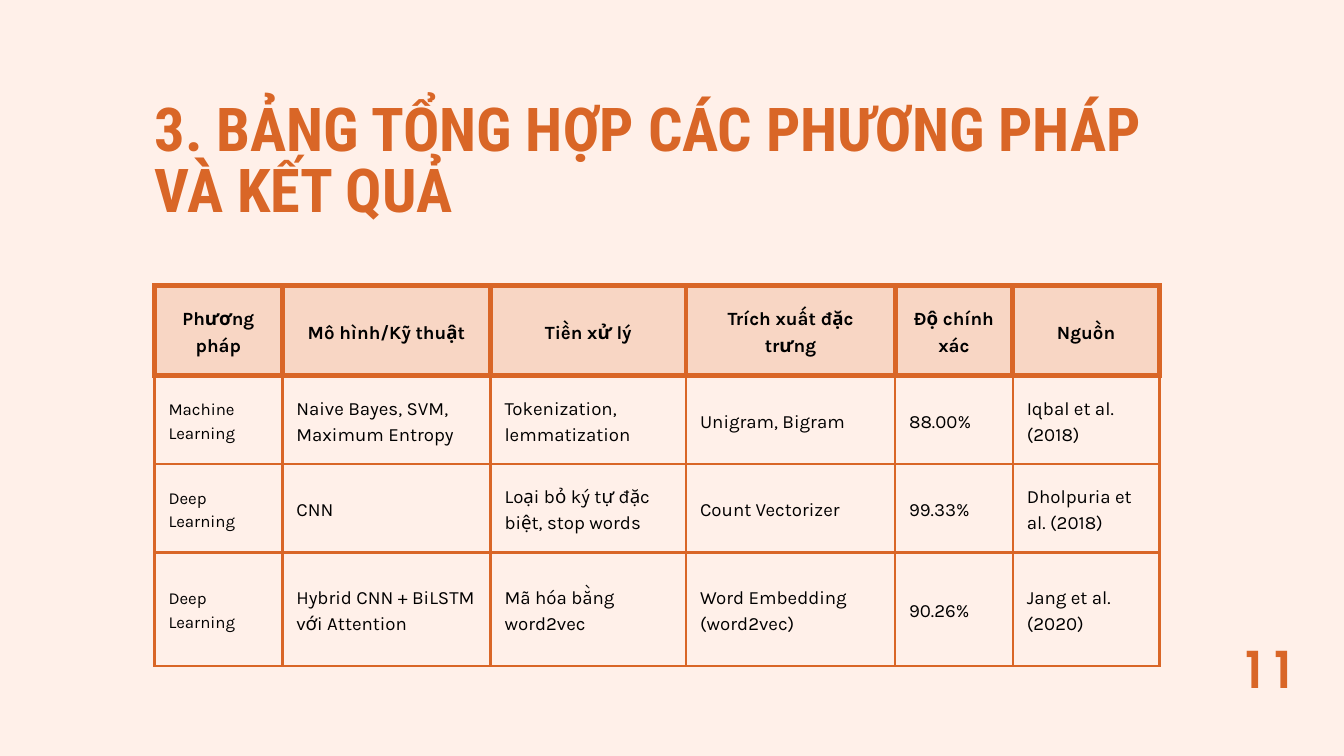
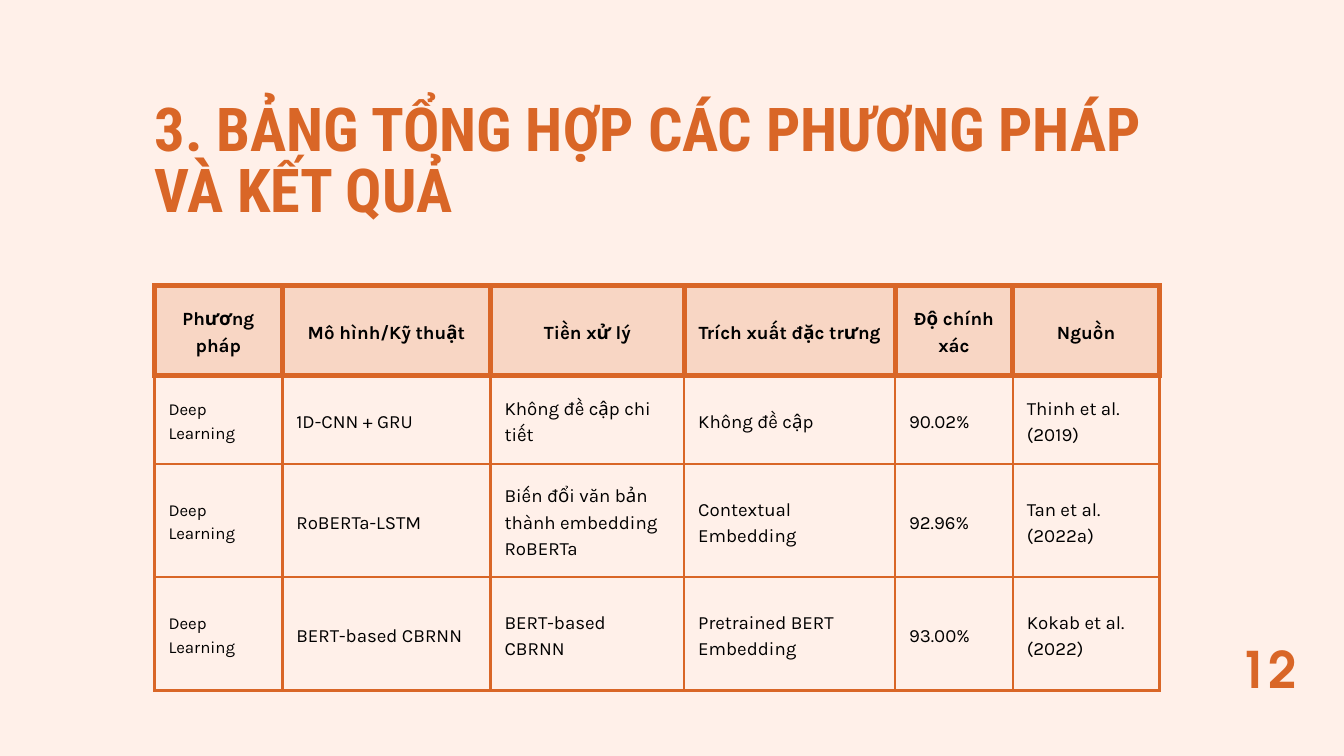
from dataclasses import dataclass

from lxml.etree import SubElement as Sub
from pptx import Presentation
from pptx.dml.color import RGBColor as RGB
from pptx.enum.text import MSO_ANCHOR as Anchor, MSO_AUTO_SIZE as Fit, PP_ALIGN as Align
from pptx.oxml.ns import qn
from pptx.util import Cm, Pt


# Colours, fonts and sizes shared by the slides
@dataclass(frozen=True)
class Theme:
    paper: str = "FFF0E9"
    accent: str = "D96627"
    head: str = "F8D6C4"
    ink: str = "000000"
    title_font: str = "Roboto Condensed"
    page_font: str = "TeX Gyre Adventor"
    cell_font: str = "Karla"
    title_size: float = 64.8
    page_size: float = 54
    cell_size: float = 20
    label_size: float = 18
    thick: float = 6
    thin: float = 3
    pad: float = 0.53
    left: float = 5.84
    width: float = 37.97


T = Theme()

TITLE = "3. BẢNG TỔNG HỢP CÁC PHƯƠNG PHÁP VÀ KẾT QUẢ"
HEADS = ["Phương pháp", "Mô hình/Kỹ thuật", "Tiền xử lý",
         "Trích xuất đặc trưng", "Độ chính xác", "Nguồn"]

# Page number, column widths, row heights and body rows of each slide
PAGES = [
    (11, [4.83, 7.87, 7.39, 7.9, 4.45, 5.54], [3.4, 3.35, 3.33, 4.29], [
        ["Machine Learning", "Naive Bayes, SVM, Maximum Entropy",
         "Tokenization, lemmatization", "Unigram, Bigram", "88.00%",
         "Iqbal et al. (2018)"],
        ["Deep Learning", "CNN", "Loại bỏ ký tự đặc biệt, stop words",
         "Count Vectorizer", "99.33%", "Dholpuria et al. (2018)"],
        ["Deep Learning", "Hybrid CNN + BiLSTM với Attention",
         "Mã hóa bằng word2vec", "Word Embedding (word2vec)", "90.26%",
         "Jang et al. (2020)"],
    ]),
    (12, [4.83, 7.87, 7.32, 7.97, 4.45, 5.54], [3.4, 3.35, 4.27, 4.29], [
        ["Deep Learning", "1D-CNN + GRU", "Không đề cập chi tiết",
         "Không đề cập", "90.02%", "Thinh et al. (2019)"],
        ["Deep Learning", "RoBERTa-LSTM",
         "Biến đổi văn bản thành embedding RoBERTa",
         "Contextual Embedding", "92.96%", "Tan et al. (2022a)"],
        ["Deep Learning", "BERT-based CBRNN", "BERT-based CBRNN",
         "Pretrained BERT Embedding", "93.00%", "Kokab et al. (2022)"],
    ]),
]


def set_text(frame, text, font, size, color, lead, align=Align.LEFT, bold=True):
    frame.text = text
    para = frame.paragraphs[0]
    para.alignment = align
    para.line_spacing = Pt(lead)
    for run in para.runs:
        face = run.font
        face.name, face.size, face.bold = font, Pt(size), bold
        face.color.rgb = RGB.from_string(color)


def trim(frame):
    frame.margin_left = frame.margin_top = 0
    frame.margin_right = frame.margin_bottom = 0
    frame.word_wrap = True
    frame.auto_size = Fit.SHAPE_TO_FIT_TEXT
    frame.vertical_anchor = Anchor.TOP


def add_title(slide, text):
    box = slide.shapes.title
    box.left, box.top = Cm(T.left), Cm(3.91)
    box.width, box.height = Cm(T.width), Cm(4.7)
    trim(box.text_frame)
    set_text(box.text_frame, text, T.title_font, T.title_size, T.accent,
             T.title_size)


def add_page(slide, num):
    box = slide.shapes.add_textbox(Cm(46.46), Cm(24.87), Cm(2.95), Cm(1.7))
    trim(box.text_frame)
    set_text(box.text_frame, str(num), T.page_font, T.page_size, T.accent,
             T.page_size * 0.8, Align.CENTER)


def set_edges(cell, top, rest):
    props = cell._tc.get_or_add_tcPr()
    for side in "LRTB":
        width = top if side == "T" else rest
        line = Sub(props, qn(f"a:ln{side}"), w=str(Pt(width)))
        fill = Sub(line, qn("a:solidFill"))
        Sub(fill, qn("a:srgbClr"), val=T.accent)


def set_cell(cell, text, row, col):
    head = row == 0
    cell.margin_left = cell.margin_right = Cm(T.pad)
    cell.margin_top = cell.margin_bottom = Cm(T.pad)
    cell.vertical_anchor = Anchor.MIDDLE
    # Heavy lines frame the head row, thin ones the body
    set_edges(cell, T.thick if row < 2 else T.thin, T.thick if head else T.thin)
    if head:
        cell.fill.solid()
        cell.fill.fore_color.rgb = RGB.from_string(T.head)
    else:
        cell.fill.background()
    size = T.label_size if col == 0 and not head else T.cell_size
    set_text(cell.text_frame, text, T.cell_font, size, T.ink, size * 1.4,
             Align.CENTER if head else Align.LEFT, head)


def add_grid(slide, widths, heights, rows):
    table = slide.shapes.add_table(
        len(heights), len(widths), Cm(T.left), Cm(10.8),
        Cm(sum(widths)), Cm(sum(heights))).table
    table.horz_banding = False
    for col, width in zip(table.columns, widths):
        col.width = Cm(width)
    for row, height in zip(table.rows, heights):
        row.height = Cm(height)
    for r, texts in enumerate([HEADS, *rows]):
        for c, text in enumerate(texts):
            set_cell(table.cell(r, c), text, r, c)


def main():
    deck = Presentation()
    deck.slide_width, deck.slide_height = Cm(50.8), Cm(28.58)
    # Shared background
    back = deck.slide_master.background.fill
    back.solid()
    back.fore_color.rgb = RGB.from_string(T.paper)
    # One summary table per slide
    for num, widths, heights, rows in PAGES:
        slide = deck.slides.add_slide(deck.slide_layouts[5])
        add_page(slide, num)
        add_title(slide, TITLE)
        add_grid(slide, widths, heights, rows)
    deck.save("out.pptx")


if __name__ == "__main__":
    main()
